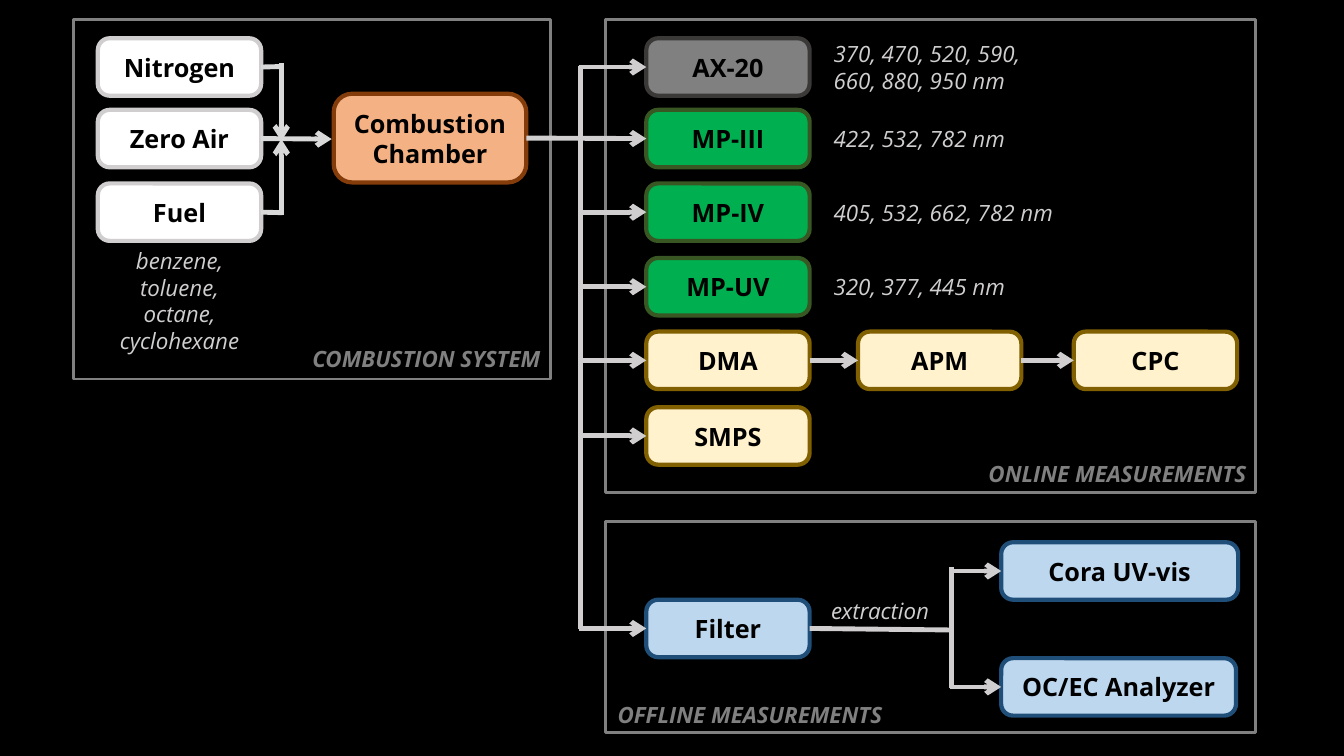
import pptx
import pptx.dml.color
import pptx.enum.shapes
import pptx.enum.text
import pptx.oxml
import pptx.oxml.ns
import pptx.util

Inches = pptx.util.Inches
Shapes = pptx.enum.shapes.MSO_SHAPE
Align = pptx.enum.text.PP_ALIGN
TOP, LEFT, BOTTOM, RIGHT = range(4)

FLOW, SUPPLY, MUTED = "D0CECE", "D9D9D9", "808080"
LABEL = {"size": pptx.util.Pt(18), "bold": True}
NOTE = {"size": pptx.util.Pt(16), "italic": True}
CAPTION = {**NOTE, "bold": True}

# Fill and border of each group of boxes
GAS = ("FFFFFF", "D0CECE")
CHAMBER = ("F4B183", "843C0B")
ABSORPTION = ("808080", "3B3838")
ACOUSTIC = ("00B050", "385723")
PARTICLE = ("FFF2CC", "806000")
OFFLINE = ("BDD7EE", "1F4E79")


def rgb(value):
    return pptx.dml.color.RGBColor.from_string(value)


class Diagram:
    def __init__(self, slide, font):
        self.slide = slide
        self.font = font

    def add_lines(self, frame, lines, style, color, align):
        values = {"name": self.font, **style}
        for index, line in enumerate(lines):
            paragraph = frame.add_paragraph() if index else frame.paragraphs[0]
            paragraph.alignment = align
            run = paragraph.add_run()
            run.text = line
            for key, value in values.items():
                setattr(run.font, key, value)
            run.font.color.rgb = rgb(color)

    def outline(self, shape, color, width):
        shape.shadow.inherit = False
        shape.line.color.rgb = rgb(color)
        shape.line.width = pptx.util.Pt(width)

    def frame(self, *place):
        area = self.slide.shapes.add_shape(Shapes.RECTANGLE, *map(Inches, place))
        area.fill.background()
        self.outline(area, MUTED, 2)

    def box(self, lines, colors, left, top, width=1.62, height=0.57):
        box = self.slide.shapes.add_shape(
            Shapes.ROUNDED_RECTANGLE, *map(Inches, (left, top, width, height)))
        box.adjustments[0] = 0.207
        fill, border = colors
        box.fill.solid()
        box.fill.fore_color.rgb = rgb(fill)
        self.outline(box, border, 3)
        text = box.text_frame
        margins = dict.fromkeys(
            ("margin_left", "margin_right", "margin_top", "margin_bottom"), 0)
        settings = {**margins, "word_wrap": True,
                    "vertical_anchor": pptx.enum.text.MSO_ANCHOR.MIDDLE}
        for key, value in settings.items():
            setattr(text, key, value)
        self.add_lines(text, lines, LABEL, "000000", Align.CENTER)
        return box

    def text(self, lines, place, style=NOTE, color=FLOW, align=Align.LEFT):
        text = self.slide.shapes.add_textbox(*map(Inches, place)).text_frame
        text.word_wrap = True
        text.auto_size = pptx.enum.text.MSO_AUTO_SIZE.SHAPE_TO_FIT_TEXT
        self.add_lines(text, lines, style, color, align)

    def line(self, start, end, color=FLOW, arrow=False):
        """Draw a line; each end is an (x, y) point or a (box, side) pair."""
        joined = [not isinstance(stop[0], (int, float)) for stop in (start, end)]
        points = [(0, 0) if join else stop for join, stop in zip(joined, (start, end))]
        link = self.slide.shapes.add_connector(
            pptx.enum.shapes.MSO_CONNECTOR.STRAIGHT,
            *(Inches(value) for point in points for value in point))
        if joined[0]:
            link.begin_connect(*start)
        if joined[1]:
            link.end_connect(*end)
        link.line.color.rgb = rgb(color)
        link.line.width = pptx.util.Pt(3.5)
        properties = link.element.spPr
        namespace = pptx.oxml.ns.nsdecls("a")
        if arrow:
            head = pptx.oxml.parse_xml(f'<a:tailEnd {namespace} type="arrow"/>')
            properties.find(pptx.oxml.ns.qn("a:ln")).append(head)
        properties.append(pptx.oxml.parse_xml(f"<a:effectLst {namespace}/>"))


def combustion_system(diagram):
    nitrogen, zero_air, fuel = (
        diagram.box([name], GAS, 0.97, top)
        for name, top in (("Nitrogen", 0.38), ("Zero Air", 1.09), ("Fuel", 1.82)))
    chamber = diagram.box(["Combustion", "Chamber"], CHAMBER, 3.31, 0.93, 1.91, 0.88)
    diagram.line((zero_air, RIGHT), (3.29, 1.38), SUPPLY, arrow=True)
    for gas, y, start, end in ((nitrogen, 0.66, 0.63, 1.4), (fuel, 2.11, 2.13, 1.38)):
        diagram.line((gas, RIGHT), (2.8, y), SUPPLY)
        diagram.line((2.79, start), (2.79, end), SUPPLY, arrow=True)
    diagram.text(["benzene,", "toluene,", "octane,", "cyclohexane"],
                 (0.63, 2.4, 2.3, 1.18), align=Align.CENTER)
    return chamber


def measurements(diagram, chamber):
    instruments = (
        ("AX-20", ABSORPTION, 0.38), ("MP-III", ACOUSTIC, 1.09),
        ("MP-IV", ACOUSTIC, 1.82), ("MP-UV", ACOUSTIC, 2.56),
        ("DMA", PARTICLE, 3.29), ("SMPS", PARTICLE, 4.04), ("Filter", OFFLINE, 5.95))
    boxes = {}
    diagram.line((5.76, 0.65), (5.76, 6.24))
    for name, colors, top in instruments:
        boxes[name] = diagram.box([name], colors, 6.41, top)
        start = (chamber, RIGHT) if name == "MP-III" else (5.74, top + 0.285)
        diagram.line(start, (boxes[name], LEFT), arrow=True)

    previous = boxes["DMA"]
    for name, left in (("APM", 8.51), ("CPC", 10.65)):
        following = diagram.box([name], PARTICLE, left, 3.29)
        diagram.line((previous, RIGHT), (following, LEFT), arrow=True)
        previous = following

    diagram.line((boxes["Filter"], RIGHT), (9.45, 6.25))
    diagram.line((9.44, 6.83), (9.44, 5.63))
    for name, top, width in (("Cora UV-vis", 5.38, 2.35), ("OC/EC Analyzer", 6.53, 2.33)):
        analyzer = diagram.box([name], OFFLINE, 9.93, top, width)
        diagram.line((9.42, top + 0.285), (analyzer, LEFT), arrow=True)

    for wavelengths, top, width, height in (
            ("370, 470, 520, 590, 660, 880, 950 nm", 0.35, 2.3, 0.64),
            ("422, 532, 782 nm", 1.19, 2.3, 0.37),
            ("405, 532, 662, 782 nm", 1.93, 2.63, 0.37),
            ("320, 377, 445 nm", 2.66, 2.3, 0.37)):
        diagram.text([wavelengths], (8.17, top, width, height))
    diagram.text(["extraction"], (8.13, 5.87, 1.2, 0.37), align=Align.CENTER)


def main():
    deck = pptx.Presentation()
    deck.slide_width, deck.slide_height = Inches(13.33), Inches(7.5)
    slide = deck.slides.add_slide(deck.slide_layouts[6])
    slide.background.fill.solid()
    slide.background.fill.fore_color.rgb = rgb("000000")
    diagram = Diagram(slide, "Open Sans")

    for place in ((6.01, 5.17, 6.44, 2.1), (6.01, 0.19, 6.44, 4.7), (0.73, 0.19, 4.73, 3.57)):
        diagram.frame(*place)
    measurements(diagram, combustion_system(diagram))
    for caption, left, top in (("COMBUSTION SYSTEM", 2.62, 3.38),
                               ("ONLINE MEASUREMENTS", 9.62, 4.52),
                               ("OFFLINE MEASUREMENTS", 6.01, 6.91)):
        diagram.text([caption], (left, top, 2.84, 0.37), CAPTION, MUTED, Align.RIGHT)
    deck.save("out.pptx")


if __name__ == "__main__":
    main()
